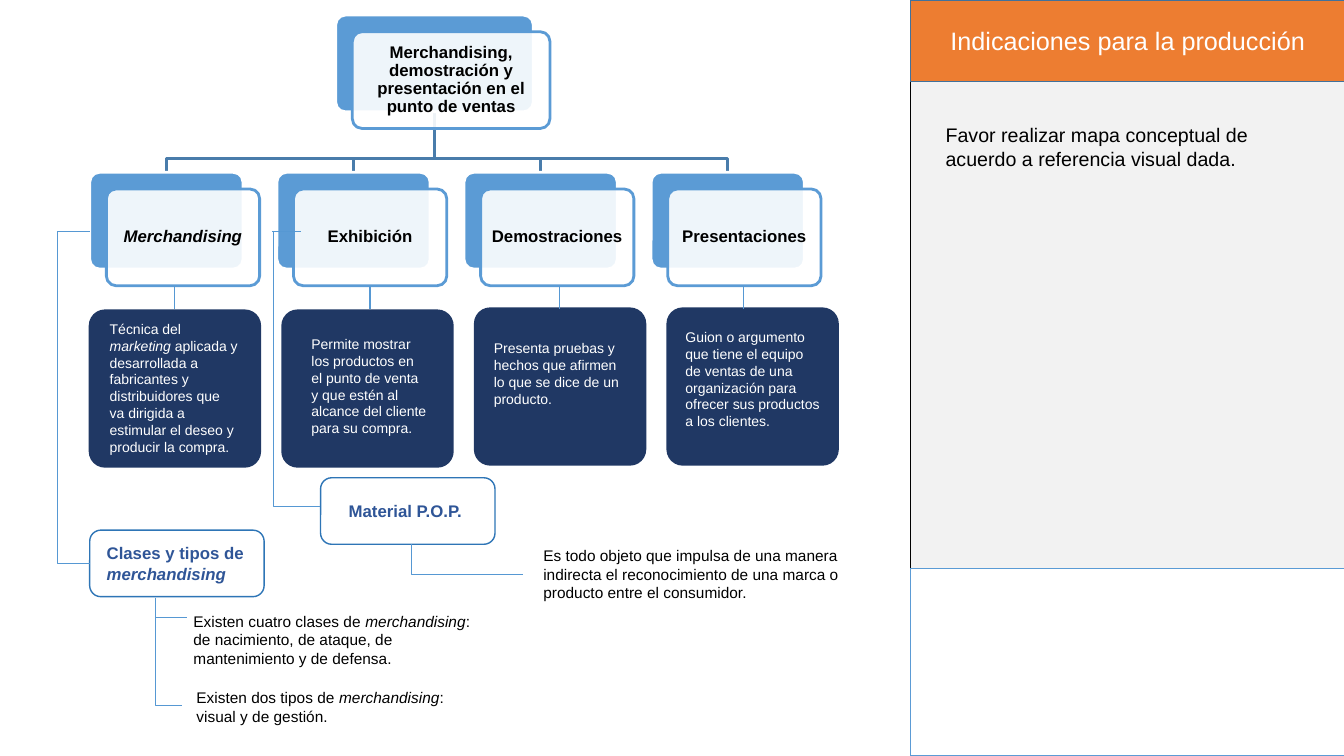
from lxml.etree import SubElement
from pptx import Presentation
from pptx.dml.color import RGBColor
from pptx.enum.shapes import MSO_CONNECTOR as CONNECTOR, MSO_SHAPE as SHAPE
from pptx.enum.text import MSO_ANCHOR as ANCHOR, PP_ALIGN as ALIGN
from pptx.oxml.ns import qn
from pptx.util import Inches, Pt

BLUE, NAVY, LABEL_BLUE, THIN_BLUE = "5B9BD5", "203864", "2F5597", "5698D3"
TREE_LINE, WHITE, BLACK = "497CAB", "FFFFFF", "000000"
NODE_LEFT, NODE_STEP, NODE_TOP = 0.89, 1.856, 1.71
NODE_HEIGHT, OFFSET, TRUNK_X = 0.96, 0.165, 4.31

# title, card left, card top, text box (left, top, width, height), stem x, text
BRANCHES = [
    ("*Merchandising*", 0.88, 3.07, (0.99, 3.13, 1.47, 1.45), 1.73,
     "Técnica del *marketing* aplicada y desarrollada a fabricantes y "
     "distribuidores que va dirigida a estimular el deseo y producir la compra."),
    ("Exhibición", 2.79, 3.07, (2.99, 3.28, 1.35, 1.11), 3.67,
     "Permite mostrar los productos en el punto de venta y que estén al "
     "alcance del cliente para su compra."),
    ("Demostraciones", 4.7, 3.05, (4.8, 3.32, 1.47, 0.77), 5.55,
     "Presenta pruebas y hechos que afirmen lo que se dice de un producto."),
    ("Presentaciones", 6.61, 3.05, (6.7, 3.21, 1.55, 1.11), 7.37,
     "Guion o argumento que tiene el equipo de ventas de una organización "
     "para ofrecer sus productos a los clientes."),
]
LABELS = [
    ((0.89, 5.26), (0.96, 5.34, 1.7, 0.5), "Clases y tipos de *merchandising*"),
    ((3.18, 4.74), (3.36, 4.92, 1.7, 0.3), "Material P.O.P."),
]
NOTES = [
    ((1.82, 6.02, 3.08, 0.66), "Existen cuatro clases de *merchandising*: de "
     "nacimiento, de ataque, de mantenimiento y de defensa."),
    ((1.85, 6.78, 2.85, 0.47),
     "Existen dos tipos de *merchandising*: visual y de gestión."),
    ((5.29, 5.37, 3.25, 0.66), "Es todo objeto que impulsa de una manera "
     "indirecta el reconocimiento de una marca o producto entre el consumidor."),
]
ELBOWS = [(0.57, 2.3, 0.89, 5.59), (2.71, 2.3, 3.17, 5.03),
          (1.54, 5.93, 1.81, 7.0), (4.08, 5.4, 5.19, 5.7)]
TICKS = [(0.57, 2.3, 0.89, 2.3), (2.7, 2.3, 2.99, 2.3), (1.55, 6.13, 1.85, 6.13)]


def color(value):
    """Turn a hex string into a colour."""
    return RGBColor.from_string(value)


def write(shape, text, size, ink=BLACK, bold=False, align=ALIGN.LEFT,
          anchor=ANCHOR.TOP, inset=0.1, spacing=None):
    """Fill a shape with one paragraph; *starred* parts are italic."""
    frame = shape.text_frame
    frame.word_wrap = True
    frame.vertical_anchor = anchor
    frame.margin_left = frame.margin_right = Inches(inset)
    frame.margin_top = frame.margin_bottom = Inches(0.05)
    para = frame.paragraphs[0]
    para.alignment = align
    para.line_spacing = spacing
    for index, part in enumerate(text.split("*")):
        if part:
            span = para.add_run()
            span.text = part
            span.font.name = "Arial"
            span.font.size = Pt(size)
            span.font.bold = bold
            span.font.italic = index % 2 == 1
            span.font.color.rgb = color(ink)


def add_text(page, box, text, size, **style):
    """Add a text box at (left, top, width, height)."""
    shape = page.shapes.add_textbox(*map(Inches, box))
    write(shape, text, size, **style)


def add_box(page, box, fill=None, line=None, weight=1, corner=None, alpha=None):
    """Add a rectangle, rounded when a corner ratio is given."""
    kind = SHAPE.RECTANGLE if corner is None else SHAPE.ROUNDED_RECTANGLE
    shape = page.shapes.add_shape(kind, *map(Inches, box))
    shape.shadow.inherit = False
    if corner is not None:
        shape.adjustments[0] = corner
    if fill:
        shape.fill.solid()
        shape.fill.fore_color.rgb = color(fill)
    else:
        shape.fill.background()
    if alpha:
        tint = shape.fill._xPr.find(".//" + qn("a:srgbClr"))
        SubElement(tint, qn("a:alpha")).set("val", str(alpha * 1000))
    if line:
        shape.line.color.rgb = color(line)
        shape.line.width = Pt(weight)
    else:
        shape.line.fill.background()
    return shape


def add_line(page, x1, y1, x2, y2, kind=CONNECTOR.STRAIGHT):
    """Add a thin blue connector."""
    line = page.shapes.add_connector(kind, *map(Inches, (x1, y1, x2, y2)))
    line.line.color.rgb = color(THIN_BLUE)
    line.line.width = Pt(0.75)
    SubElement(line._element.spPr, qn("a:effectLst"))
    return line


def add_elbow(page, x1, y1, x2, y2):
    """Add a connector that goes down, then right."""
    width, height = x2 - x1, y2 - y1
    left, top = (x1 + x2 - height) / 2, (y1 + y2 - width) / 2
    line = add_line(page, left, top, left + height, top + width, CONNECTOR.ELBOW)
    properties = line._element.spPr
    properties.find(qn("a:prstGeom")).set("prst", "bentConnector2")
    frame = properties.find(qn("a:xfrm"))
    frame.set("rot", str(270 * 60000))
    frame.set("flipH", "1")


def add_branch_line(page, x):
    """Draw the bent path from the root node down to a branch at x."""
    bend = Inches(1.57)
    builder = page.shapes.build_freeform(Inches(TRUNK_X), Inches(1.12), scale=1.0)
    builder.add_line_segments([(Inches(TRUNK_X), bend), (Inches(x), bend),
                               (Inches(x), Inches(NODE_TOP))], close=False)
    path = builder.convert_to_shape()
    path.shadow.inherit = False
    path.fill.background()
    path.line.color.rgb = color(TREE_LINE)
    path.line.width = Pt(2)


def add_node(page, left, top, width, text):
    """Add a blue plate with a translucent titled plate over it."""
    add_box(page, (left, top, width, NODE_HEIGHT), BLUE, WHITE, 2, 0.1)
    left, top = left + OFFSET, top + OFFSET
    add_box(page, (left, top, width, NODE_HEIGHT), WHITE, BLUE, 2, 0.1, alpha=90)
    add_text(page, (left + 0.03, top + 0.03, width - 0.06, NODE_HEIGHT - 0.06),
             text, 12, bold=True, align=ALIGN.CENTER, anchor=ANCHOR.MIDDLE,
             inset=0.05, spacing=0.9)


def add_side_panel(page):
    """Add the instructions panel on the right."""
    add_box(page, (9.03, 0, 4.31, 7.5), "F2F2F2", BLACK)
    header = add_box(page, (9.03, 0, 4.31, 0.81), "ED7D31", "42719B")
    write(header, "Indicaciones para la producción", 18, ink=WHITE,
          align=ALIGN.CENTER, anchor=ANCHOR.MIDDLE)
    add_box(page, (9.03, 5.64, 4.31, 1.86), WHITE, BLUE)
    add_text(page, (9.28, 1.17, 3.92, 3.3), "Favor realizar mapa conceptual de "
             "acuerdo a referencia visual dada.", 14)


def add_tree(page):
    """Add the root, its four branches and their description cards."""
    lefts = [NODE_LEFT + NODE_STEP * index for index in range(len(BRANCHES))]
    for left in reversed(lefts):
        add_branch_line(page, left + 0.76)
    add_node(page, 3.33, 0.15, 1.96,
             "Merchandising, demostración y presentación en el punto de ventas")
    for left, (title, card_left, card_top, box, stem, text) in zip(lefts, BRANCHES):
        add_node(page, left, NODE_TOP, 1.52, title)
        add_box(page, (card_left, card_top, 1.71, 1.57), NAVY, corner=0.103)
        add_text(page, box, text, 10, ink=WHITE)
        add_line(page, stem, 2.84, stem, 3.07)


def add_details(page):
    """Add the lower labels, their notes and the thin connectors."""
    for corner, box, text in LABELS:
        add_text(page, box, text, 12, ink=LABEL_BLUE, bold=True)
        add_box(page, (*corner, 1.73, 0.66), line="2E75B6", corner=0.167)
    for box, text in NOTES:
        add_text(page, box, text, 11)
    for ends in ELBOWS:
        add_elbow(page, *ends)
    for ends in TICKS:
        add_line(page, *ends)


def main():
    """Build the concept map slide."""
    deck = Presentation()
    deck.slide_width, deck.slide_height = Inches(13.33), Inches(7.5)
    page = deck.slides.add_slide(deck.slide_layouts[6])
    add_side_panel(page)
    add_tree(page)
    add_details(page)
    deck.save("out.pptx")


main()
